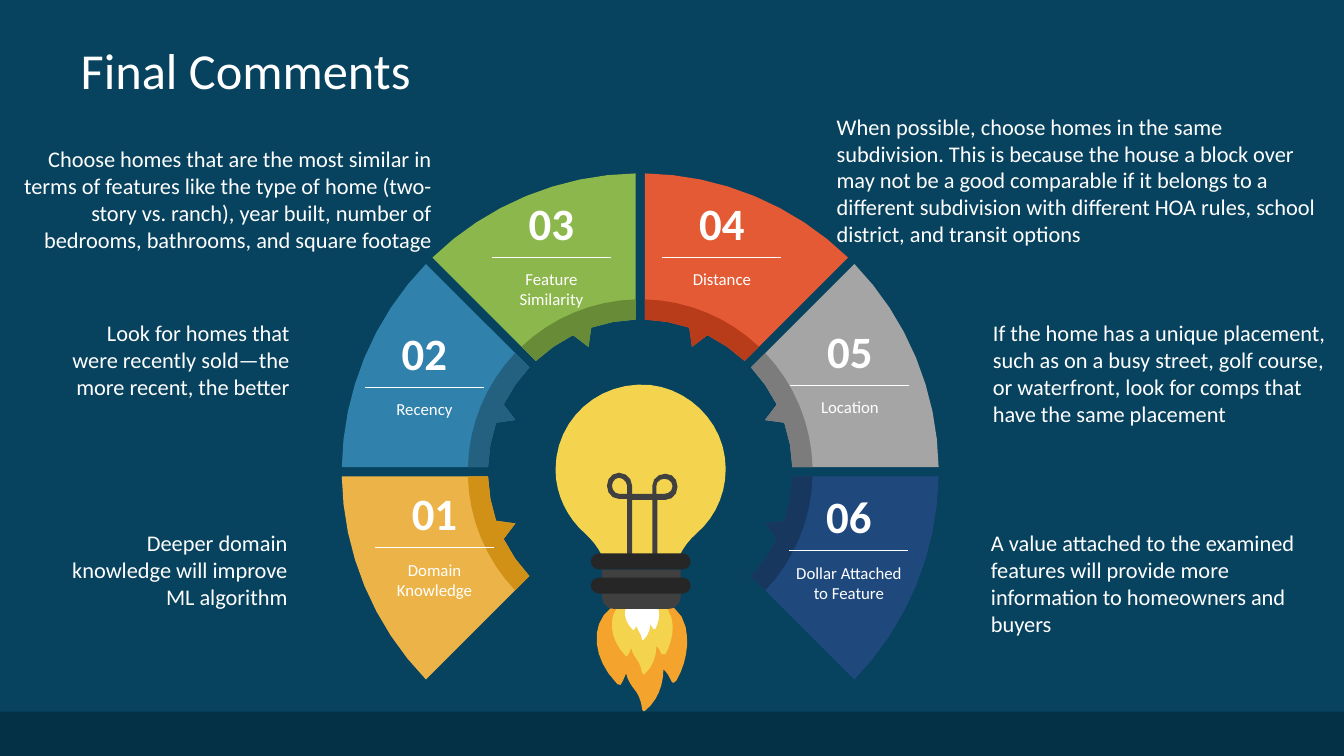
"""Build the Final Comments slide: six tips in a half ring around a light bulb."""
from math import asin, cos, degrees, dist, radians, sin

from lxml.etree import SubElement
from pptx import Presentation
from pptx.dml.color import RGBColor
from pptx.enum.shapes import MSO_CONNECTOR as Connector, MSO_SHAPE as Preset
from pptx.enum.text import MSO_ANCHOR as Anchor, MSO_AUTO_SIZE as AutoSize, PP_ALIGN as Align
from pptx.oxml.ns import qn
from pptx.util import Inches, Pt

TITLE = "Final Comments"
WHITE = "FFFFFF"

# caption, fill, band fill, number box left and top, caption height
STEPS = [
    ("Domain Knowledge", "ECB448", "D19116", 3.98, 4.77, 0.5),
    ("Recency", "3081AC", "246181", 3.88, 3.18, 0.3),
    ("Feature Similarity", "8BB74C", "688B38", 5.14, 1.89, 0.5),
    ("Distance", "E35A35", "B83B1A", 6.83, 1.89, 0.3),
    ("Location", "A5A5A5", "7C7C7C", 8.1, 3.16, 0.3),
    ("Dollar Attached to Feature", "1F497D", "17375E", 8.09, 4.8, 0.5),
]

COMMENTS = [
    ("When possible, choose homes in the same subdivision. This is because the house a block "
     "over may not be a good comparable if it belongs to a different subdivision with different "
     "HOA rules, school district, and transit options", (8.2, 1.07, 5.08, 1.45), Align.LEFT),
    ("Choose homes that are the most similar in terms of features like the type of home "
     "(two-story vs. ranch), year built, number of bedrooms, bathrooms, and square footage",
     (-0.07, 1.39, 4.45, 1.18), Align.RIGHT),
    ("If the home has a unique placement, such as on a busy street, golf course, or waterfront, "
     "look for comps that have the same placement", (9.75, 3.12, 3.53, 1.18), Align.LEFT),
    ("A value attached to the examined features will provide more information to homeowners "
     "and buyers", (9.73, 5.2, 3.39, 1.18), Align.LEFT),
    ("Look for homes that were recently sold—the more recent, the better",
     (0.56, 3.12, 2.41, 0.91), Align.RIGHT),
    ("Deeper domain knowledge will improve ML algorithm",
     (0.54, 5.2, 2.41, 0.91), Align.RIGHT),
]

# Pairs are straight corners; sextuples are Bézier curves.
OUTER_FLAME = [
    (6.1, 6.76), (6.12, 6.79, 6.16, 6.83, 6.18, 6.75), (6.21, 6.68),
    (6.22, 6.74, 6.26, 6.8, 6.3, 6.85), (6.31, 6.86, 6.36, 6.93, 6.37, 7.04),
    (6.37, 7.06, 6.39, 7.06, 6.4, 7.05), (6.52, 6.95, 6.58, 6.8, 6.58, 6.64),
    (6.58, 6.64, 6.63, 6.68, 6.66, 6.76), (6.66, 6.78, 6.69, 6.78, 6.7, 6.76), (6.71, 6.75),
    (6.8, 6.59, 6.84, 6.4, 6.8, 6.22), (6.74, 5.92, 6.29, 5.84, 6.06, 6.03),
    (5.83, 6.21, 5.9, 6.55, 6.1, 6.76),
]
MIDDLE_FLAME = [
    (6.19, 6.49), (6.2, 6.51, 6.23, 6.54, 6.24, 6.48), (6.26, 6.43),
    (6.27, 6.48, 6.3, 6.52, 6.32, 6.55), (6.33, 6.56, 6.36, 6.61, 6.37, 6.68), (6.39, 6.69),
    (6.47, 6.62, 6.51, 6.52, 6.51, 6.41), (6.51, 6.41, 6.55, 6.44, 6.56, 6.49), (6.6, 6.49),
    (6.66, 6.38, 6.69, 6.25, 6.66, 6.13), (6.62, 5.92, 6.32, 5.87, 6.16, 5.99),
    (6.11, 6.04, 6.07, 6.1, 6.07, 6.17), (6.06, 6.27, 6.1, 6.39, 6.19, 6.49),
]
INNER_FLAME = [
    (6.27, 6.24), (6.28, 6.25, 6.29, 6.27, 6.3, 6.23), (6.31, 6.21), (6.34, 6.27),
    (6.35, 6.28, 6.36, 6.3, 6.37, 6.35), (6.38, 6.35), (6.42, 6.31, 6.45, 6.26, 6.45, 6.19),
    (6.48, 6.24), (6.5, 6.24), (6.53, 6.18, 6.55, 6.1, 6.53, 6.04),
    (6.5, 5.88, 6.22, 5.89, 6.2, 6.06), (6.19, 6.12, 6.22, 6.19, 6.27, 6.24),
]
GLASS = [
    (5.8, 5.29), (5.87, 5.35, 5.93, 5.43, 5.97, 5.51), (6.74, 5.51),
    (6.78, 5.43, 6.84, 5.35, 6.91, 5.29), (7.11, 5.12, 7.23, 4.84, 7.19, 4.54),
    (7.14, 4.16, 6.82, 3.86, 6.45, 3.82), (5.94, 3.77, 5.51, 4.16, 5.51, 4.66),
    (5.51, 4.91, 5.63, 5.14, 5.8, 5.29),
]
FILAMENT = [
    (6.6, 4.7), (6.53, 4.7, 6.47, 4.75, 6.47, 4.82), (6.47, 4.9), (6.27, 4.9), (6.27, 4.82),
    (6.27, 4.75, 6.21, 4.69, 6.14, 4.69), (6.07, 4.69, 6.02, 4.75, 6.02, 4.82),
    (6.02, 4.89, 6.07, 4.95, 6.14, 4.95), (6.22, 4.95), (6.22, 5.52), (6.27, 5.52),
    (6.27, 4.96), (6.47, 4.96), (6.47, 5.52), (6.52, 5.52), (6.52, 4.96), (6.6, 4.96),
    (6.67, 4.96, 6.72, 4.9, 6.72, 4.83), (6.72, 4.75, 6.67, 4.7, 6.6, 4.7),
]
LEFT_LOOP = [
    (6.22, 4.9), (6.14, 4.9), (6.1, 4.9, 6.07, 4.86, 6.07, 4.82),
    (6.07, 4.78, 6.1, 4.74, 6.14, 4.74), (6.18, 4.74, 6.22, 4.78, 6.22, 4.82),
]
RIGHT_LOOP = [
    (6.67, 4.83), (6.67, 4.87, 6.63, 4.9, 6.59, 4.9), (6.51, 4.9), (6.51, 4.82),
    (6.51, 4.78, 6.55, 4.75, 6.59, 4.75), (6.63, 4.75, 6.67, 4.78, 6.67, 4.82),
]
BULB = [
    ("F4A32C", [OUTER_FLAME]), ("F4D44E", [MIDDLE_FLAME]), (WHITE, [INNER_FLAME]),
    ("F4D44E", [GLASS]), ("404040", [FILAMENT, LEFT_LOOP, RIGHT_LOOP]),
]

CENTER_X, CENTER_Y = 6.35, 4.68
OUTER_RADIUS, BAND_RADIUS, INNER_RADIUS, TIP_RADIUS = 2.96, 1.71, 1.51, 1.34
HALF_GAP, SWEEP, POINTER_HALF = 0.045, 45, 3.7

deck = Presentation()
deck.slide_width, deck.slide_height = Inches(13.33), Inches(7.5)
slide = deck.slides.add_slide(deck.slide_layouts[5])
shapes = slide.shapes


def color(hex_code):
    return RGBColor.from_string(hex_code)


def paint(shape, hex_code):
    shape.fill.solid()
    shape.fill.fore_color.rgb = color(hex_code)
    shape.line.fill.background()
    shape.shadow.inherit = False


def block(preset, box, hex_code):
    shape = shapes.add_shape(preset, *map(Inches, box))
    paint(shape, hex_code)
    return shape


def write(text, box, size=16, bold=False, align=Align.LEFT, wrap=True, holder=None):
    target = holder or shapes.add_textbox(0, 0, 0, 0)
    target.left, target.top, target.width, target.height = map(Inches, box)
    frame = target.text_frame
    frame.word_wrap = wrap
    frame.auto_size = AutoSize.NONE if holder else AutoSize.SHAPE_TO_FIT_TEXT
    paragraph = frame.paragraphs[0]
    paragraph.alignment = align
    run = paragraph.add_run()
    run.text = text
    run.font.name, run.font.size, run.font.bold = "Calibri", Pt(size), bold
    run.font.color.rgb = color(WHITE)
    return frame


def outline(contours, hex_code):
    pens = [[(Inches(x), Inches(y)) for x, y in contour] for contour in contours]
    builder = shapes.build_freeform(*pens[0][0], scale=1.0)
    builder.add_line_segments(pens[0][1:])
    for pen in pens[1:]:
        builder.move_to(*pen[0])
        builder.add_line_segments(pen[1:])
    paint(builder.convert_to_shape(), hex_code)


def trace(path):
    points = [path[0]]
    for step in path[1:]:
        if len(step) == 2:
            points.append(step)
            continue
        stops = [points[-1], step[:2], step[2:4], step[4:]]
        pieces = round(2 + 8 * dist(stops[0], stops[3]))
        for t in (n / pieces for n in range(1, pieces + 1)):
            weights = (1 - t) ** 3, 3 * t * (1 - t) ** 2, 3 * t * t * (1 - t), t ** 3
            points.append(tuple(sum(w * stop[axis] for w, stop in zip(weights, stops))
                                for axis in (0, 1)))
    return points


def polar(radius, angle):
    return (CENTER_X + radius * cos(radians(angle)), CENTER_Y - radius * sin(radians(angle)))


def arc(radius, start, end, pieces):
    return [polar(radius, start + (end - start) * n / pieces) for n in range(pieces + 1)]


def sector(start, radius):
    end, middle = start - SWEEP, start - SWEEP / 2
    far, near = (degrees(asin(HALF_GAP / r)) for r in (radius, INNER_RADIUS))
    return (arc(radius, start - far, end + far, 8)
            + arc(INNER_RADIUS, end + near, middle - POINTER_HALF, 2)
            + [polar(TIP_RADIUS, middle)]
            + arc(INNER_RADIUS, middle + POINTER_HALF, start - near, 2))


def rule(left, right, y):
    line = shapes.add_connector(Connector.STRAIGHT, *map(Inches, (left, y, right, y)))
    line.line.color.rgb = color(WHITE)
    line.line.width = Pt(0.75)
    SubElement(line._element.spPr, qn("a:effectLst"))


slide.background.fill.solid()
slide.background.fill.fore_color.rgb = color("07425E")
block(Preset.RECTANGLE, (0, 7.06, 13.33, 0.44), "043146")
heading = write(TITLE, (0.67, 0.3, 12, 0.78), size=36, holder=shapes.title)
heading.vertical_anchor = Anchor.MIDDLE
heading.margin_left = heading.margin_right = Inches(0.13)
heading.margin_top = heading.margin_bottom = Inches(0.07)

for index, (caption, fill, band, left, top, height) in enumerate(STEPS):
    start = 225 - SWEEP * index
    outline([sector(start, OUTER_RADIUS)], fill)
    outline([sector(start, BAND_RADIUS)], band)
    write(f"{index + 1:02}", (left, top, 0.66, 0.64), size=32, bold=True,
          align=Align.CENTER, wrap=False)
    rule(left - 0.26, left + 0.92, top + 0.66)
    write(caption, (left - 0.33, top + 0.73, 1.32, height), size=12, align=Align.CENTER)

for fill, paths in BULB:
    outline([trace(path) for path in paths], fill)
socket = block(Preset.ROUND_2_SAME_RECTANGLE, (5.97, 5.65, 0.78, 0.39), "404040")
socket.adjustments[0] = 0.31
socket.rotation = 180
for top in (5.49, 5.73):
    block(Preset.ROUNDED_RECTANGLE, (5.86, top, 0.99, 0.16), "262626").adjustments[0] = 0.5

for comment, box, align in COMMENTS:
    write(comment, box, align=align)

deck.save("out.pptx")
